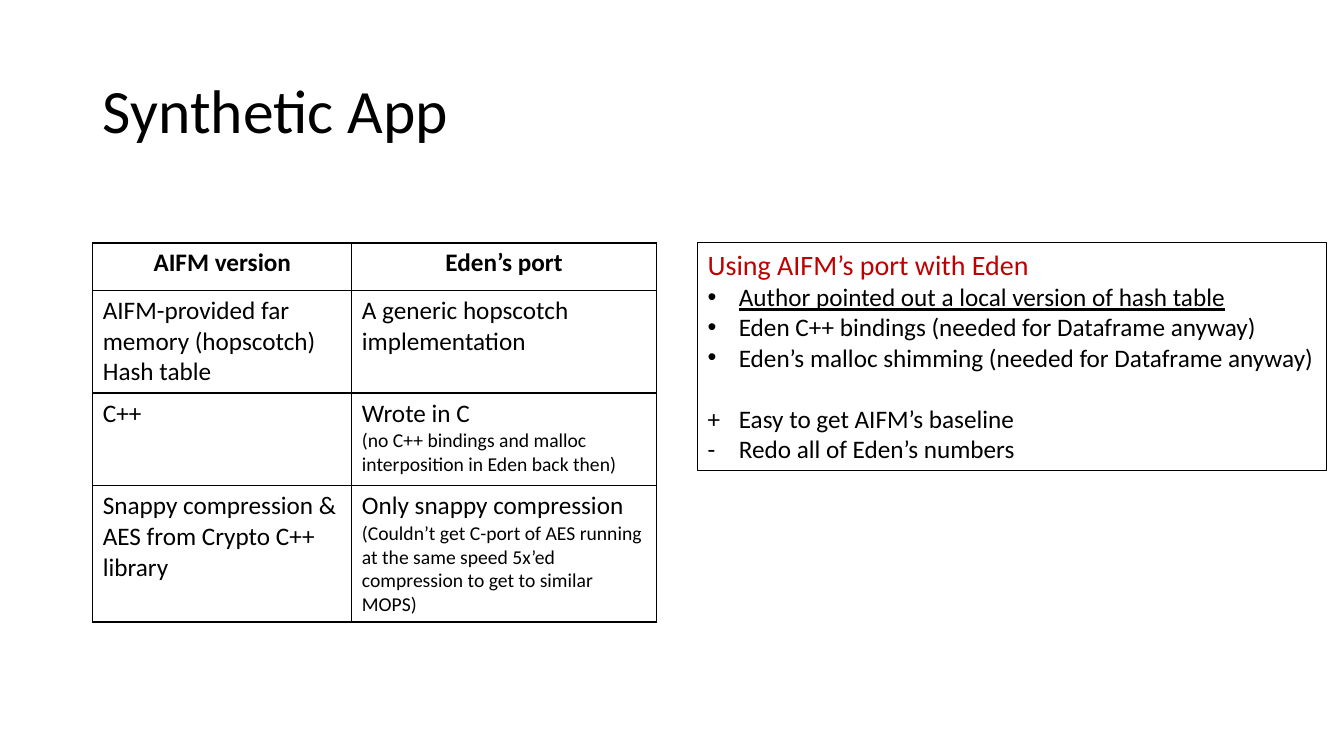
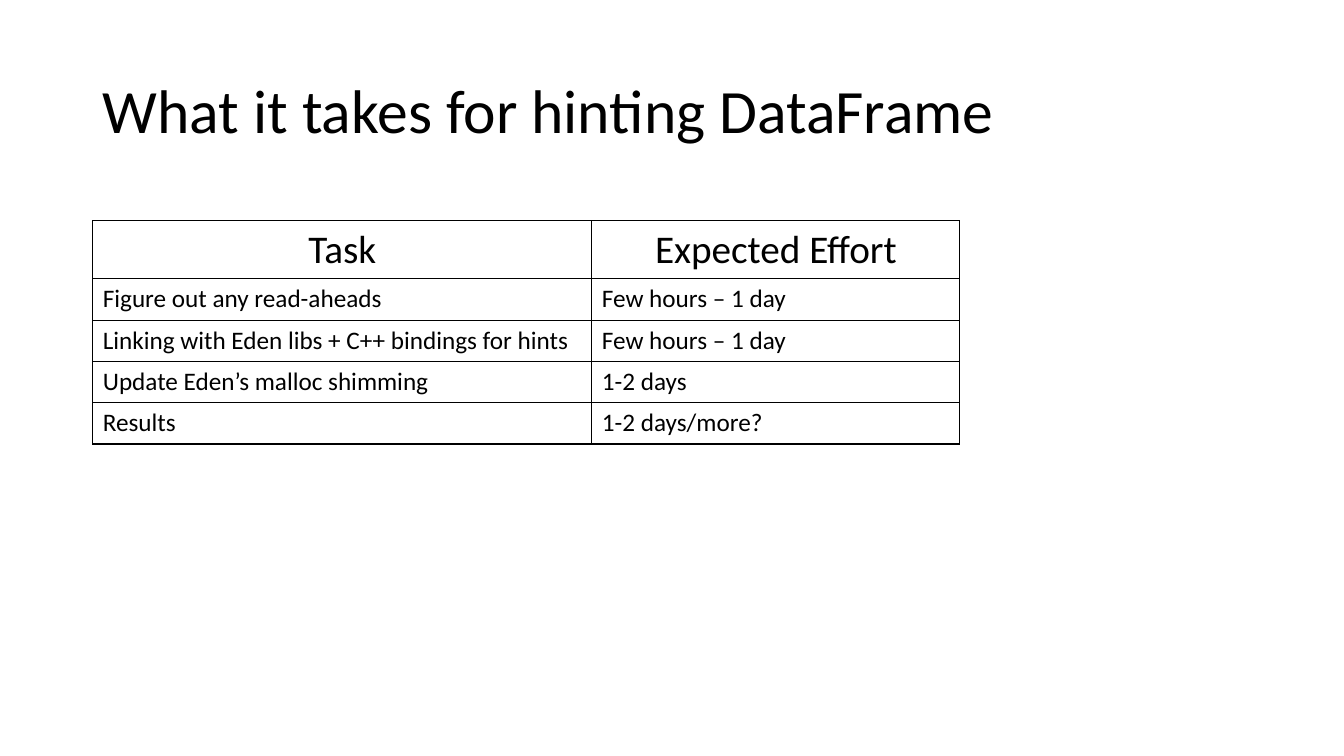
"""Build two slides comparing ports of an application and estimating the work."""
from dataclasses import dataclass

from lxml import etree
from pptx import Presentation
from pptx import util as u
from pptx.dml.color import RGBColor
from pptx.enum import text
from pptx.oxml import ns

PX = u.Inches(1) // 100


@dataclass(frozen=True)
class Theme:
    font: str = "Calibri"
    ink: str = "000000"
    accent: str = "C00000"
    title_size: int = 44
    large_header_size: int = 28
    heading_size: int = 20
    body_size: int = 18
    note_size: int = 14
    border: float = 1
    outline: float = 0.75
    left: int = 92
    indent: int = 31


class Deck:
    def __init__(self, theme):
        self.theme = theme
        self.presentation = Presentation()
        self.presentation.slide_width = 1333 * PX
        self.presentation.slide_height = 750 * PX
        self.slide = None

    def format(self, paragraph, size, color=None, bold=False, underline=False):
        for run in paragraph.runs:
            run.font.name = self.theme.font
            run.font.size = u.Pt(size)
            run.font.bold = bold
            run.font.underline = underline
            run.font.color.rgb = RGBColor.from_string(color or self.theme.ink)

    def add_slide(self, title):
        layout = self.presentation.slide_layouts.get_by_name("Title Only")
        self.slide = self.presentation.slides.add_slide(layout)
        shape = self.slide.shapes.title
        shape.left, shape.top = self.theme.left * PX, 40 * PX
        shape.width, shape.height = 1150 * PX, 145 * PX
        frame = shape.text_frame
        frame.text = title
        frame.auto_size = text.MSO_AUTO_SIZE.NONE
        frame.vertical_anchor = text.MSO_ANCHOR.MIDDLE
        paragraph = frame.paragraphs[0]
        paragraph.alignment = text.PP_ALIGN.LEFT
        paragraph.line_spacing = 0.9
        self.format(paragraph, self.theme.title_size)

    def border_cell(self, cell):
        properties = cell._tc.get_or_add_tcPr()
        for side in ("lnL", "lnR", "lnT", "lnB"):
            line = etree.SubElement(properties, ns.qn(f"a:{side}"),
                                    w=str(u.Pt(self.theme.border)))
            fill = etree.SubElement(line, ns.qn("a:solidFill"))
            etree.SubElement(fill, ns.qn("a:srgbClr"), val=self.theme.ink)
        cell.fill.background()

    def add_table(self, top, widths, heights, rows, header_size, header_bold):
        table = self.slide.shapes.add_table(
            len(rows), len(widths), self.theme.left * PX, top * PX,
            sum(widths) * PX, sum(heights) * PX).table
        table.first_row = table.horz_banding = False
        for column, width in zip(table.columns, widths):
            column.width = width * PX
        for row, height in zip(table.rows, heights):
            row.height = height * PX
        for row_index, row in enumerate(rows):
            for column_index, content in enumerate(row):
                cell = table.cell(row_index, column_index)
                cell.text_frame.text = content
                self.border_cell(cell)
                main, *notes = cell.text_frame.paragraphs
                if row_index == 0:
                    main.alignment = text.PP_ALIGN.CENTER
                    self.format(main, header_size, bold=header_bold)
                else:
                    self.format(main, self.theme.body_size)
                for note in notes:
                    self.format(note, self.theme.note_size)

    def hang(self, paragraph, bullet=None):
        properties = paragraph._p.get_or_add_pPr()
        properties.set("marL", str(self.theme.indent * PX))
        properties.set("indent", str(-self.theme.indent * PX))
        if bullet:
            etree.SubElement(properties, ns.qn("a:buFont"), typeface="Arial")
            etree.SubElement(properties, ns.qn("a:buChar"), char=bullet)

    def add_notes_box(self, left, top, width, height, heading, bullets, verdicts):
        shape = self.slide.shapes.add_textbox(left * PX, top * PX, width * PX, height * PX)
        shape.line.color.rgb = RGBColor.from_string(self.theme.ink)
        shape.line.width = u.Pt(self.theme.outline)
        frame = shape.text_frame
        frame.word_wrap = True
        frame.text = heading
        self.format(frame.paragraphs[0], self.theme.heading_size, self.theme.accent)
        for content, underline in bullets:
            paragraph = frame.add_paragraph()
            paragraph.text = content
            self.hang(paragraph, "•")
            self.format(paragraph, self.theme.body_size, underline=underline)
        for index, (sign, content) in enumerate(verdicts):
            paragraph = frame.add_paragraph()
            paragraph.text = f"{sign}\t{content}"
            self.hang(paragraph)
            if index == 0:
                paragraph.space_before = u.Pt(22)
            self.format(paragraph, self.theme.body_size)


def main():
    theme = Theme()
    deck = Deck(theme)

    deck.add_slide("Synthetic App")
    deck.add_table(241, [257, 302], [47, 102, 92, 135], [
        ("AIFM version", "Eden’s port"),
        ("AIFM-provided far memory (hopscotch) Hash table",
         "A generic hopscotch implementation"),
        ("C++",
         "Wrote in C\n(no C++ bindings and malloc interposition in Eden back then)"),
        ("Snappy compression & AES from Crypto C++ library",
         "Only snappy compression\n(Couldn’t get C-port of AES running at the same "
         "speed 5x’ed compression to get to similar MOPS)"),
    ], theme.body_size, True)
    deck.add_notes_box(692, 241, 624, 226, "Using AIFM’s port with Eden", [
        ("Author pointed out a local version of hash table", True),
        ("Eden C++ bindings (needed for Dataframe anyway)", False),
        ("Eden’s malloc shimming (needed for Dataframe anyway)", False),
    ], [
        ("+", "Easy to get AIFM’s baseline"),
        ("-", "Redo all of Eden’s numbers"),
    ])

    deck.add_slide("What it takes for hinting DataFrame")
    deck.add_table(219, [495, 365], [57] + [41] * 4, [
        ("Task", "Expected Effort"),
        ("Figure out any read-aheads", "Few hours – 1 day"),
        ("Linking with Eden libs + C++ bindings for hints", "Few hours – 1 day"),
        ("Update Eden’s malloc shimming", "1-2 days"),
        ("Results", "1-2 days/more?"),
    ], theme.large_header_size, False)

    deck.presentation.save("out.pptx")


if __name__ == "__main__":
    main()
